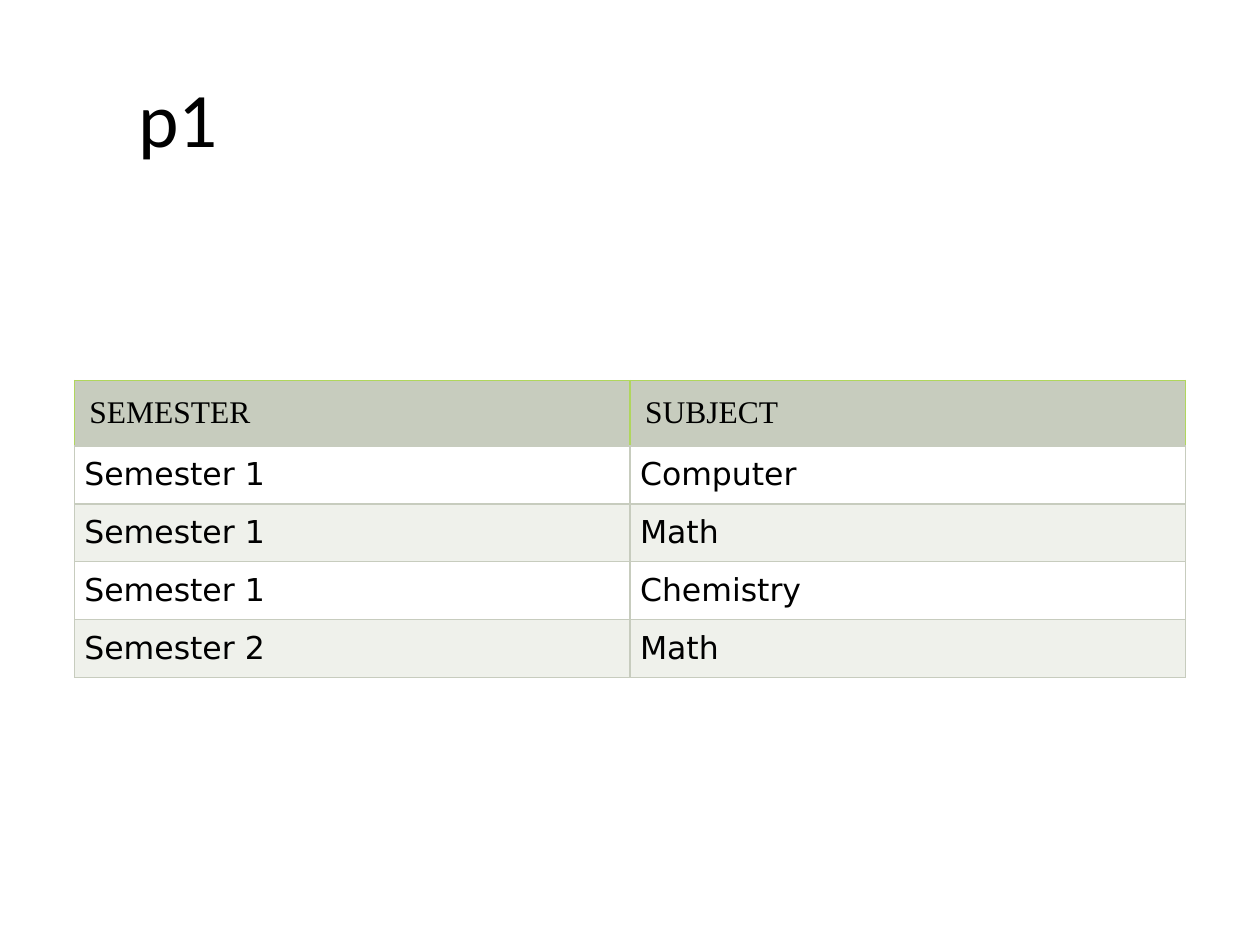
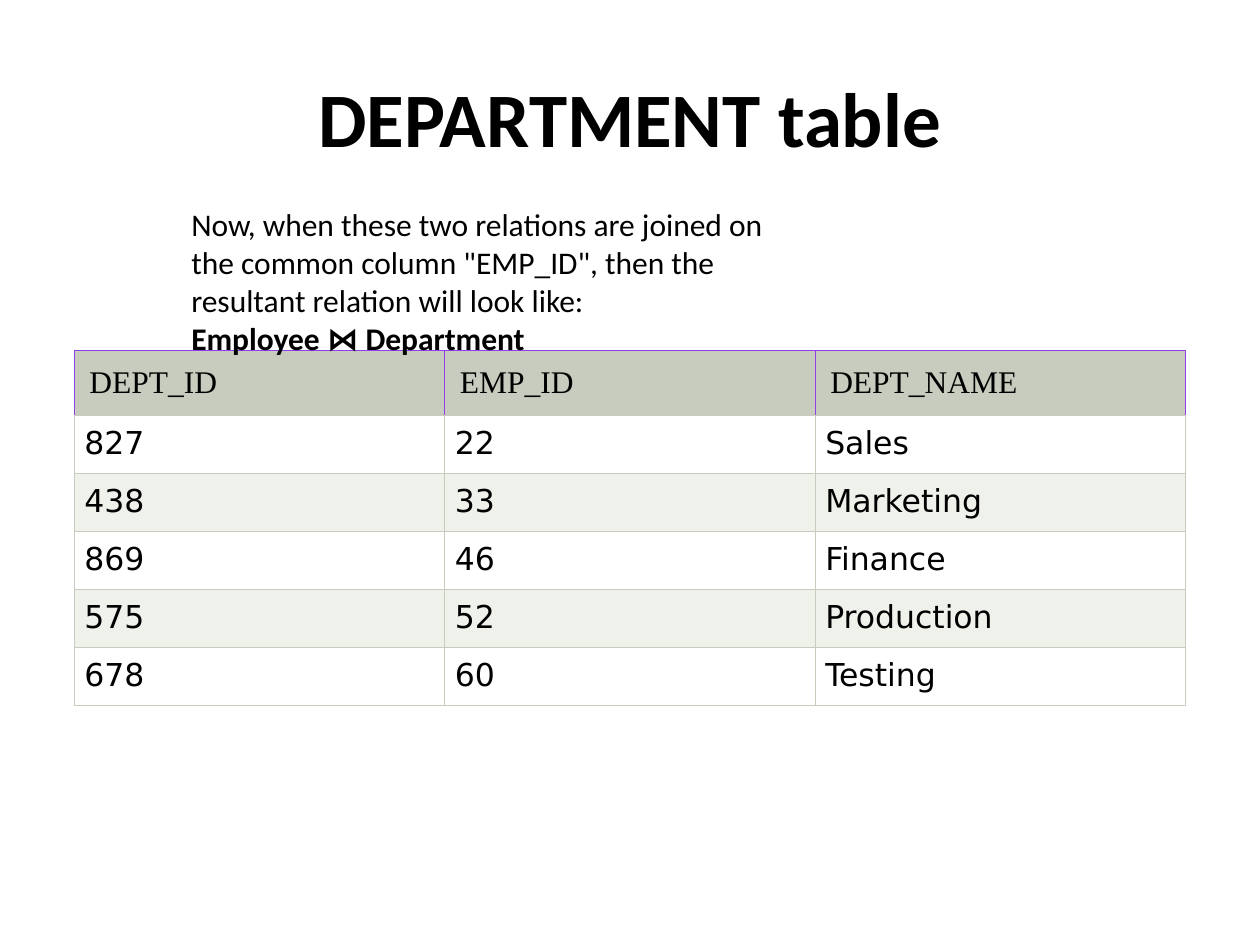
import pptx
import pptx.util
import pptx.dml.color
import pptx.enum.text
import pptx.oxml
import pptx.oxml.ns

SLIDES = [
    {
        "title": "p1", "bold": False, "title_width": 1.83,
        "top": 3.02, "edge": "B0D65D",
        "rows": [
            ("SEMESTER", "SUBJECT"),
            ("Semester 1", "Computer"),
            ("Semester 1", "Math"),
            ("Semester 1", "Chemistry"),
            ("Semester 2", "Math"),
        ],
    },
    {
        "title": "DEPARTMENT table", "bold": True, "title_width": 9,
        "top": 2.78, "edge": "903FEB",
        "rows": [
            ("DEPT_ID", "EMP_ID", "DEPT_NAME"),
            ("827", "22", "Sales"),
            ("438", "33", "Marketing"),
            ("869", "46", "Finance"),
            ("575", "52", "Production"),
            ("678", "60", "Testing"),
        ],
        "note": [
            ('Now, when these two relations are joined on the common column '
             '"EMP_ID", then the resultant relation will look like:', False),
            ("Employee ⋈ Department", True),
        ],
    },
]

THEME = {
    "ink": "000000", "rule": "C7CCBE", "header": "C7CCBE",
    "bands": ("FFFFFF", "EFF1EB"), "rule_width": 0.75,
    "title": {"name": "Calibri", "size": pptx.util.Pt(44)},
    "note": {"name": "Calibri", "size": pptx.util.Pt(18)},
    "head": {"name": "Times New Roman", "size": pptx.util.Pt(18), "bold": False},
    "body": {"name": "DejaVu Sans", "size": pptx.util.Pt(18), "bold": False},
}
WIDTH, HEIGHT = 10, 7.5
TABLE_LEFT = 0.59
TABLE_WIDTH = WIDTH - 2 * TABLE_LEFT
HEAD_HEIGHT, ROW_HEIGHT = 0.52, 0.46
HEAD_INSET, ROW_INSET = 0.12, 0.08
TITLE_LEFT, TITLE_TOP, TITLE_HEIGHT = 0.5, 0.3, 1.25
NOTE_BOX = (1.42, 1.58, 5, 1.31)


def inches(*values):
    return [pptx.util.Inches(v) for v in values]


def rgb(colour):
    return pptx.dml.color.RGBColor.from_string(colour)


def set_all(target, values):
    for name, value in values.items():
        setattr(target, name, value)


def write(p, text, style, bold=None):
    r = p.add_run()
    r.text = text
    set_all(r.font, THEME[style])
    if bold is not None:
        r.font.bold = bold
    r.font.color.rgb = rgb(THEME["ink"])


def set_borders(cell, colours):
    """Draw left, right, top and bottom borders, in that order."""
    tc_pr = cell._tc.get_or_add_tcPr()
    width = pptx.util.Pt(THEME["rule_width"])
    for i, (side, colour) in enumerate(zip("LRTB", colours)):
        tc_pr.insert(i, pptx.oxml.parse_xml(
            f'<a:ln{side} {pptx.oxml.ns.nsdecls("a")} w="{width}">'
            f'<a:solidFill><a:srgbClr val="{colour}"/></a:solidFill>'
            f'</a:ln{side}>'))


def add_title(s, item):
    sp = s.shapes.title
    box = inches(TITLE_LEFT, TITLE_TOP, item["title_width"], TITLE_HEIGHT)
    set_all(sp, dict(zip(("left", "top", "width", "height"), box)))
    sp.text_frame.vertical_anchor = pptx.enum.text.MSO_ANCHOR.MIDDLE
    p = sp.text_frame.paragraphs[0]
    p.alignment = pptx.enum.text.PP_ALIGN.CENTER
    write(p, item["title"], "title", item["bold"])


def add_table(s, item):
    rows = item["rows"]
    columns = len(rows[0])
    height = HEAD_HEIGHT + ROW_HEIGHT * (len(rows) - 1)
    table = s.shapes.add_table(
        len(rows), columns,
        *inches(TABLE_LEFT, item["top"], TABLE_WIDTH, height)).table
    for column in table.columns:
        column.width = pptx.util.Inches(TABLE_WIDTH / columns)
    for i, texts in enumerate(rows):
        head = i == 0
        table.rows[i].height = pptx.util.Inches(HEAD_HEIGHT if head else ROW_HEIGHT)
        inset = pptx.util.Inches(HEAD_INSET if head else ROW_INSET)
        fill = THEME["header"] if head else THEME["bands"][(i - 1) % 2]
        edge = item["edge"] if head else THEME["rule"]
        for j, text in enumerate(texts):
            cell = table.cell(i, j)
            set_all(cell, {f"margin_{side}": inset
                           for side in ("left", "right", "top", "bottom")})
            cell.fill.solid()
            cell.fill.fore_color.rgb = rgb(fill)
            set_borders(cell, (edge, edge, edge, THEME["rule"]))
            write(cell.text_frame.paragraphs[0], text, "head" if head else "body")


def add_note(s, lines):
    tf = s.shapes.add_textbox(*inches(*NOTE_BOX)).text_frame
    tf.word_wrap = True
    tf.auto_size = pptx.enum.text.MSO_AUTO_SIZE.SHAPE_TO_FIT_TEXT
    for i, (text, bold) in enumerate(lines):
        p = tf.add_paragraph() if i else tf.paragraphs[0]
        write(p, text, "note", bold)


def main():
    prs = pptx.Presentation()
    prs.slide_width, prs.slide_height = inches(WIDTH, HEIGHT)
    title_only = prs.slide_layouts[5]
    for item in SLIDES:
        s = prs.slides.add_slide(title_only)
        add_title(s, item)
        add_table(s, item)
        if "note" in item:
            add_note(s, item["note"])
    prs.save("out.pptx")


if __name__ == "__main__":
    main()
